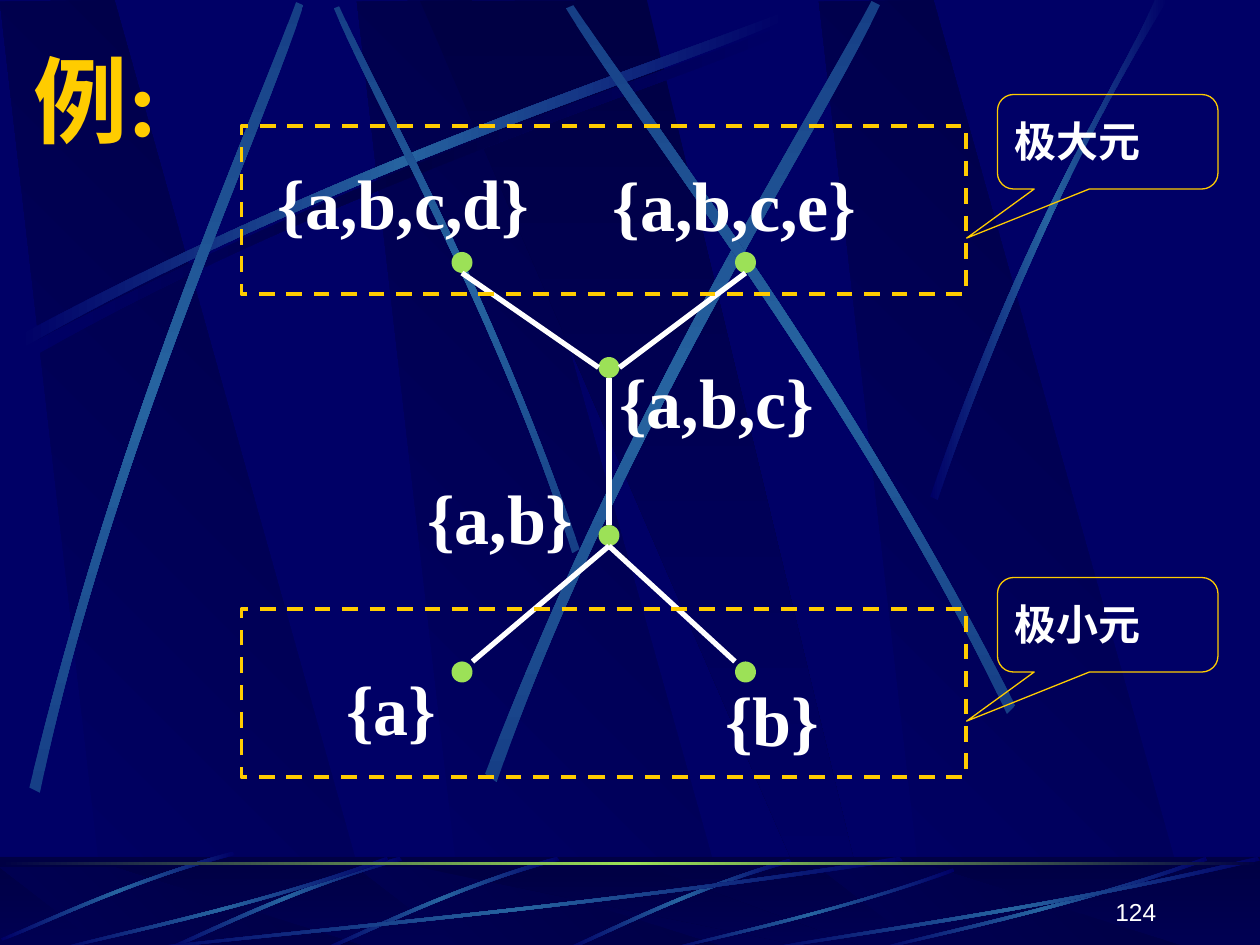
from lxml.etree import SubElement
from pptx import Presentation
from pptx.dml.color import RGBColor
from pptx.enum.dml import MSO_LINE
from pptx.enum.shapes import MSO_CONNECTOR, MSO_SHAPE
from pptx.enum.text import MSO_ANCHOR, PP_ALIGN
from pptx.oxml import parse_xml
from pptx.oxml.ns import nsdecls, qn
from pptx.util import Pt

UNIT = 7620
NAVY = RGBColor(0x00, 0x00, 0x66)
DARK = RGBColor(0x00, 0x00, 0x44)
BLUE = RGBColor(0x26, 0x63, 0xA0)
DIM = RGBColor(0x16, 0x3F, 0x86)
LIME = RGBColor(0x9C, 0xE1, 0x57)
GOLD = RGBColor(0xFF, 0xCC, 0x00)
WHITE = RGBColor(0xFF, 0xFF, 0xFF)
SERIF = "Times New Roman"

PANEL = [(285, 997), (1000, 1000), (301, 0), (0, 2)]
BEAM = [(0, 1), (900, 1000), (1000, 1000), (499, 0)]
ARC = [(0, 963), (433, 434), (828, 154), (995, 0),
       (1000, 22), (834, 191), (384, 498), (5, 1000)]
SWOOP = [(1000, 40), (568, 573), (172, 853), (5, 1000),
         (0, 987), (165, 813), (615, 507), (995, 0)]
RAY = [(989, 0), (527, 333), (165, 800), (0, 973),
       (5, 1000), (170, 840), (580, 307), (1000, 40)]
STEEP = [
    [(552, 523), (469, 281), (362, 92), (323, 6),
     (318, 8), (354, 95), (478, 310), (545, 527)],
    [(28, 750), (112, 401), (236, 126), (282, 2),
     (289, 5), (248, 131), (103, 442), (38, 755)],
    [(462, 737), (598, 384), (766, 122), (830, 1),
     (838, 5), (779, 130), (583, 426), (473, 745)],
    [(967, 672), (804, 352), (619, 114), (546, 5),
     (539, 8), (608, 121), (822, 390), (959, 680)],
]
FADE = [(886, 473), (977, 208), (1066, 79), (1100, 0),
        (1112, 0), (1003, 174), (923, 386), (893, 476)]
WHOLE = (0, 0, 1000, 1000)


def emu(*vals):
    return [round(v * UNIT) for v in vals]


def blend(shape, stops, angle):
    last = len(stops) - 1
    marks = "".join(
        f'<a:gs pos="{100000 * i // last}"><a:srgbClr val="{c}"/></a:gs>'
        for i, c in enumerate(stops))
    shape._element.spPr.insert(2, parse_xml(
        f'<a:gradFill rotWithShape="1" {nsdecls("a")}><a:gsLst>{marks}</a:gsLst>'
        f'<a:lin ang="{angle * 60000}" scaled="0"/></a:gradFill>'))
    shape.line.fill.background()
    shape.shadow.inherit = False


def patch(slide, box, pts, stops, angle):
    x, y, w, h = box
    spots = [emu(x + w * px / 1000, y + h * py / 1000) for px, py in pts]
    pen = slide.shapes.build_freeform(*spots[0], scale=1.0)
    pen.add_line_segments(spots[1:], close=False)
    shape = pen.convert_to_shape()
    track = shape._element.spPr.find(".//" + qn("a:path"))
    SubElement(track, qn("a:close"))
    blend(shape, stops, angle)
    return track


def ribbon(slide, box, pts, stops=(NAVY, BLUE, NAVY), angle=0):
    track = patch(slide, box, pts, stops, angle)
    legs = track.findall(qn("a:lnTo"))
    for trio in (legs[:3], legs[4:]):
        bend = SubElement(track, qn("a:cubicBezTo"))
        trio[0].addprevious(bend)
        for leg in trio:
            bend.append(leg[0])
            track.remove(leg)


def block(slide, box, kind=MSO_SHAPE.RECTANGLE):
    shape = slide.shapes.add_shape(kind, *emu(*box))
    shape.shadow.inherit = False
    return shape


def panels(slide, top, high):
    for left in (340, 0, 780):
        patch(slide, (left, top, 362, high), PANEL, (NAVY, DARK), 315)
    patch(slide, (400, top, 433, high), BEAM, (DARK, NAVY), 90)


def sky(slide):
    panels(slide, 0, 902)
    ribbon(slide, (24, 22, 731, 320), ARC, (NAVY, DARK, NAVY))
    ribbon(slide, (17, 12, 731, 320), ARC)
    for pts in STEEP:
        ribbon(slide, WHOLE, pts, (DIM, BLUE, DIM), 90)
    ribbon(slide, WHOLE, FADE)


def floor(slide, box):
    x, y, w, h = box
    blend(block(slide, box), (DARK, NAVY), 90)
    panels(slide, y + 10, h - 10)
    veil = block(slide, box)
    veil.fill.solid()
    veil.fill.fore_color.rgb = DARK
    tint = veil._element.spPr.find(".//" + qn("a:srgbClr"))
    SubElement(tint, qn("a:alpha"), val="50000")
    veil.line.fill.background()
    for left, down, wide, high in ((538, 2, 216, 88), (307, 0, 226, 90),
                                   (157, 0, 226, 90), (1, -5, 223, 85)):
        ribbon(slide, (x + left, y + down, wide, high), RAY)
    for left, down, wide in ((120, 0, 740), (50, 0, 320), (632, 11, 277),
                             (830, 0, 320), (720, 0, 480)):
        ribbon(slide, (x + left, y + down, wide, h - down), SWOOP)
    blend(block(slide, (x, y + 5, w, 3)), (DARK, LIME, DARK), 0)


def write(shape, text, size, color=WHITE, name=SERIF, bold=True,
          anchor=MSO_ANCHOR.TOP, align=PP_ALIGN.LEFT, wrap=True):
    frame = shape.text_frame
    frame.word_wrap = wrap
    frame.vertical_anchor = anchor
    para = frame.paragraphs[0]
    para.text = text
    para.alignment = align
    font = para.font
    font.size, font.name, font.bold = Pt(size), name, bold
    font.color.rgb = color
    return para


def label(slide, box, text, size, **style):
    return write(slide.shapes.add_textbox(*emu(*box)), text, size, **style)


def space(para, size):
    para.line_spacing = 1.2
    para.space_before = Pt(size / 10)


def graph(slide, box):
    x, y = box[:2]
    for left, top in ((140, 100), (140, 260), (0, 0), (270, 0), (0, 390), (270, 390)):
        dot = block(slide, (x + left, y + top, 20, 20), MSO_SHAPE.OVAL)
        dot.fill.solid()
        dot.fill.fore_color.rgb = LIME
        dot.line.fill.background()
    for x1, y1, x2, y2 in ((150, 120, 150, 260), (10, 20, 140, 110),
                           (280, 20, 160, 110), (150, 280, 20, 390),
                           (150, 280, 270, 390)):
        edge = slide.shapes.add_connector(
            MSO_CONNECTOR.STRAIGHT, *emu(x + x1, y + y1, x + x2, y + y2))
        edge.line.color.rgb = WHITE
        edge.line.width = Pt(3)
        SubElement(edge._element.spPr, qn("a:effectLst"))
    for left, top, wide, text in ((-112, 372, 121, "{a}"), (249, 382, 126, "{b}"),
                                  (-35, 190, 175, "{a,b}"), (148, 80, 222, "{a,b,c}"),
                                  (-177, -110, 276, "{a,b,c,d}"),
                                  (142, -108, 268, "{a,b,c,e}")):
        space(label(slide, (x + left, y + top, wide, 108), text, 40, wrap=False), 40)


def group(slide, box, text):
    x, y, w, h = box
    frame = block(slide, box)
    frame.line.dash_style = MSO_LINE.DASH
    note = block(slide, (x + w + 30, y - 30, 210, 90),
                 MSO_SHAPE.ROUNDED_RECTANGULAR_CALLOUT)
    for i, val in enumerate((-0.64, 1.02, 0.17)):
        note.adjustments[i] = val
    for shape, width in ((frame, 2.25), (note, 0.75)):
        shape.fill.background()
        shape.line.color.rgb = GOLD
        shape.line.width = Pt(width)
    space(write(note, text, 24), 24)


def main():
    deck = Presentation()
    deck.slide_width, deck.slide_height = emu(1200, 900)
    slide = deck.slides.add_slide(deck.slide_layouts[6])
    slide.background.fill.solid()
    slide.background.fill.fore_color.rgb = NAVY
    sky(slide)
    floor(slide, (0, 816, 1200, 90))
    label(slide, (20, 34, 1140, 120), "例:", 54, color=GOLD,
          anchor=MSO_ANCHOR.MIDDLE)
    graph(slide, (430, 240, 290, 410))
    group(slide, (230, 120, 690, 160), "极大元")
    group(slide, (230, 580, 690, 160), "极小元")
    label(slide, (863, 828, 250, 60), "124", 14, name="Arial", bold=False,
          anchor=MSO_ANCHOR.BOTTOM, align=PP_ALIGN.RIGHT)
    deck.save("out.pptx")


if __name__ == "__main__":
    main()
